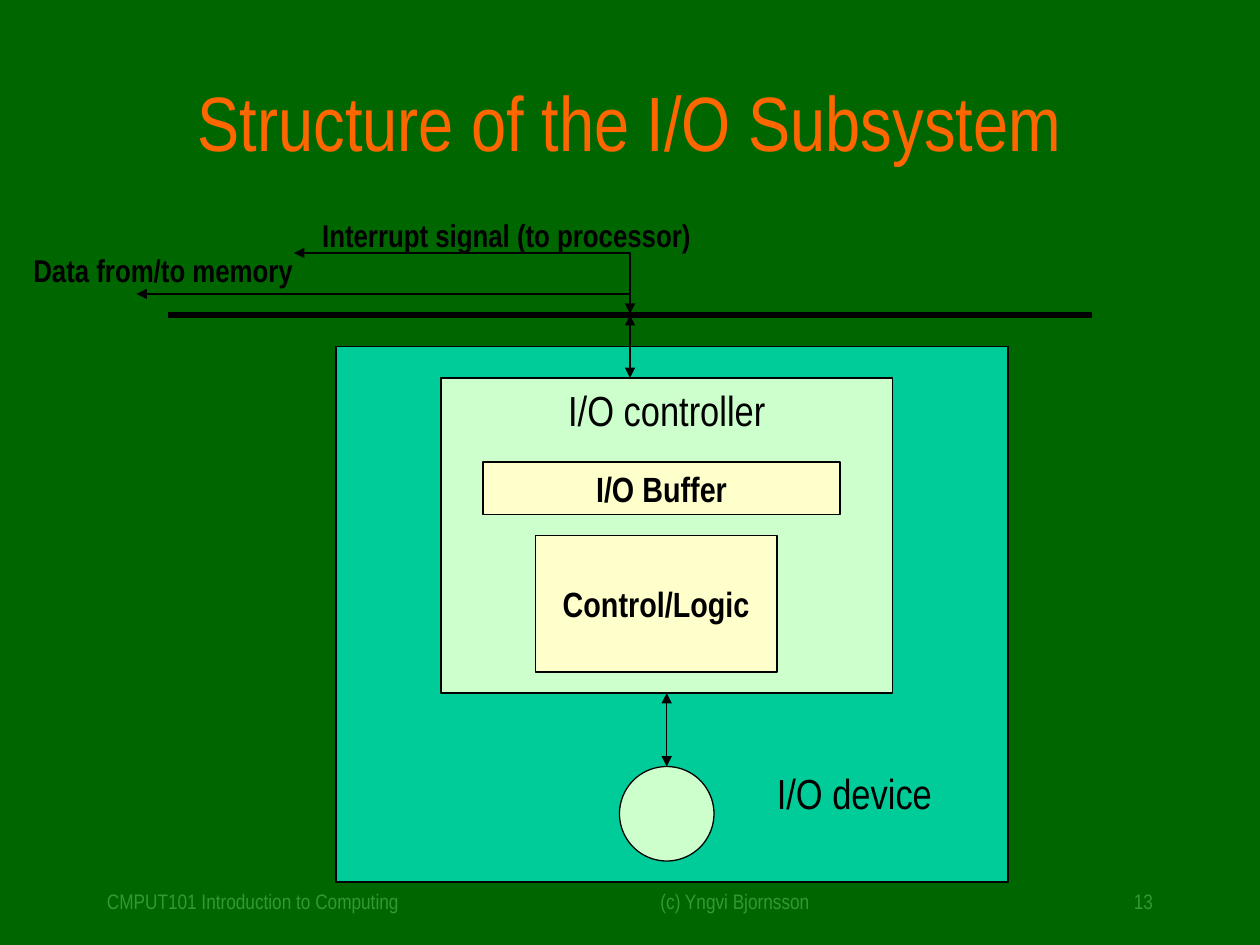
"""Build the slide on the structure of the I/O subsystem."""
from lxml import etree
from pptx import Presentation
from pptx.dml.color import RGBColor
from pptx.enum.shapes import MSO_CONNECTOR, MSO_SHAPE
from pptx.enum.text import MSO_ANCHOR, MSO_AUTO_SIZE, PP_ALIGN
from pptx.oxml.ns import qn
from pptx.util import Inches, Pt

LEFT, CENTER, RIGHT = PP_ALIGN.LEFT, PP_ALIGN.CENTER, PP_ALIGN.RIGHT
TOP, MIDDLE = MSO_ANCHOR.TOP, MSO_ANCHOR.MIDDLE
RECTANGLE, OVAL = MSO_SHAPE.RECTANGLE, MSO_SHAPE.OVAL
STRAIGHT, ELBOW = MSO_CONNECTOR.STRAIGHT, MSO_CONNECTOR.ELBOW
FIT_SHAPE, NO_FIT = MSO_AUTO_SIZE.SHAPE_TO_FIT_TEXT, MSO_AUTO_SIZE.NONE

FONT = "Arial Narrow"
COLUMNS, ROWS = 120, 90
INK, GREEN, ORANGE = "000000", "339933", "FF6600"
BACKGROUND, TEAL, MINT, CREAM = "006600", "00CC99", "CCFFCC", "FFFFCC"

TITLE = ("Structure of the I/O Subsystem", (9, 6, 102, 11))
FOOTERS = [
    ("CMPUT101 Introduction to Computing", (9, 84, 44, 4), LEFT),
    ("(c) Yngvi Bjornsson", (55, 84, 30, 4), CENTER),
    ("13", (86, 84, 25, 4), RIGHT),
]
BLOCKS = {
    "device": (RECTANGLE, (32, 33, 64, 51), TEAL, "", 24, False, TOP),
    "controller": (RECTANGLE, (42, 36, 43, 30), MINT, "I/O controller", 24, False, TOP),
    "buffer": (RECTANGLE, (46, 44, 34, 5), CREAM, "I/O Buffer", 20, True, MIDDLE),
    "logic": (RECTANGLE, (51, 51, 23, 13), CREAM, "Control/Logic", 20, True, MIDDLE),
    "unit": (OVAL, (59, 73, 9, 9), MINT, "", 24, False, TOP),
}
LABELS = [
    ("I/O device", (72.8, 72.5, 17.2, 6), 24, False),
    ("Data from/to memory", (2, 23.3, 27.1, 4.8), 18, True),
    ("Interrupt signal (to processor)", (29.5, 20, 37.6, 4.8), 18, True),
]
BUS = ((16, 30), (104, 30))
BUS_LINK = ((60, 36), (60, 30))
UNIT_LINK = ((63.5, 73), (63.5, 66))
SIGNALS = [
    ((60, 28), (28, 24.1), ["tailEnd"]),
    ((60, 29.9), (13, 28), ["headEnd", "tailEnd"]),
]
BOTH_ENDS = ["headEnd", "tailEnd"]

deck = Presentation()
deck.slide_width, deck.slide_height = Inches(10), Inches(7.5)
page = deck.slides.add_slide(deck.slide_layouts[5])


def color(value):
    return RGBColor.from_string(value)


def across(column):
    return round(deck.slide_width * column / COLUMNS)


def down(row):
    return round(deck.slide_height * row / ROWS)


def place(area):
    left, top, width, height = area
    return across(left), down(top), across(width), down(height)


def write(shape, text, size, ink=INK, bold=False, align=LEFT, anchor=TOP, wrap=False, fit=NO_FIT):
    frame = shape.text_frame
    frame.text = text
    frame.word_wrap, frame.auto_size, frame.vertical_anchor = wrap, fit, anchor
    para = frame.paragraphs[0]
    para.alignment = align
    para.font.name, para.font.size, para.font.bold = FONT, Pt(size), bold
    para.font.color.rgb = color(ink)


def add_block(kind, area, fill, text, size, bold, anchor):
    block = page.shapes.add_shape(kind, *place(area))
    block.shadow.inherit = False
    block.fill.solid()
    block.fill.fore_color.rgb = color(fill)
    block.line.color.rgb, block.line.width = color(INK), Pt(0.75)
    if text:
        write(block, text, size, bold=bold, align=CENTER, anchor=anchor)
    return block


def add_line(start, end, width, arrows=(), kind=STRAIGHT):
    line = page.shapes.add_connector(
        kind, across(start[0]), down(start[1]), across(end[0]), down(end[1]))
    line.line.color.rgb, line.line.width = color(INK), Pt(width)
    properties = line._element.spPr
    for arrow in arrows:
        etree.SubElement(properties.find(qn("a:ln")), qn("a:" + arrow), type="triangle")
    etree.SubElement(properties, qn("a:effectLst"))
    return line


def add_corner(start, end, arrows):
    """Draw a line up and then left, as a one-bend elbow turned by 270 degrees."""
    run, rise = start[0] - end[0], start[1] - end[1]
    middle, level = (start[0] + end[0]) / 2, (start[1] + end[1]) / 2
    line = add_line((middle - rise / 2, level + run / 2),
                    (middle + rise / 2, level - run / 2), 1.5, arrows, ELBOW)
    properties = line._element.spPr
    properties.find(qn("a:xfrm")).set("rot", str(270 * 60000))
    properties.find(qn("a:prstGeom")).set("prst", "bentConnector2")


page.background.fill.solid()
page.background.fill.fore_color.rgb = color(BACKGROUND)

title = page.shapes.title
title.left, title.top, title.width, title.height = place(TITLE[1])
write(title, TITLE[0], 44, ORANGE, align=CENTER, anchor=MIDDLE, wrap=True)

for text, area, align in FOOTERS:
    write(page.shapes.add_textbox(*place(area)), text, 12, GREEN, align=align, wrap=True)

blocks = {name: add_block(*block) for name, block in BLOCKS.items()}

unit_link = add_line(*UNIT_LINK, 0.75, BOTH_ENDS)
unit_link.begin_connect(blocks["unit"], 0)
unit_link.end_connect(blocks["controller"], 2)
add_line(*BUS, 4)
add_line(*BUS_LINK, 1.5, BOTH_ENDS)
for signal in SIGNALS:
    add_corner(*signal)

for text, area, size, bold in LABELS:
    write(page.shapes.add_textbox(*place(area)), text, size, bold=bold, fit=FIT_SHAPE)

deck.save("out.pptx")
